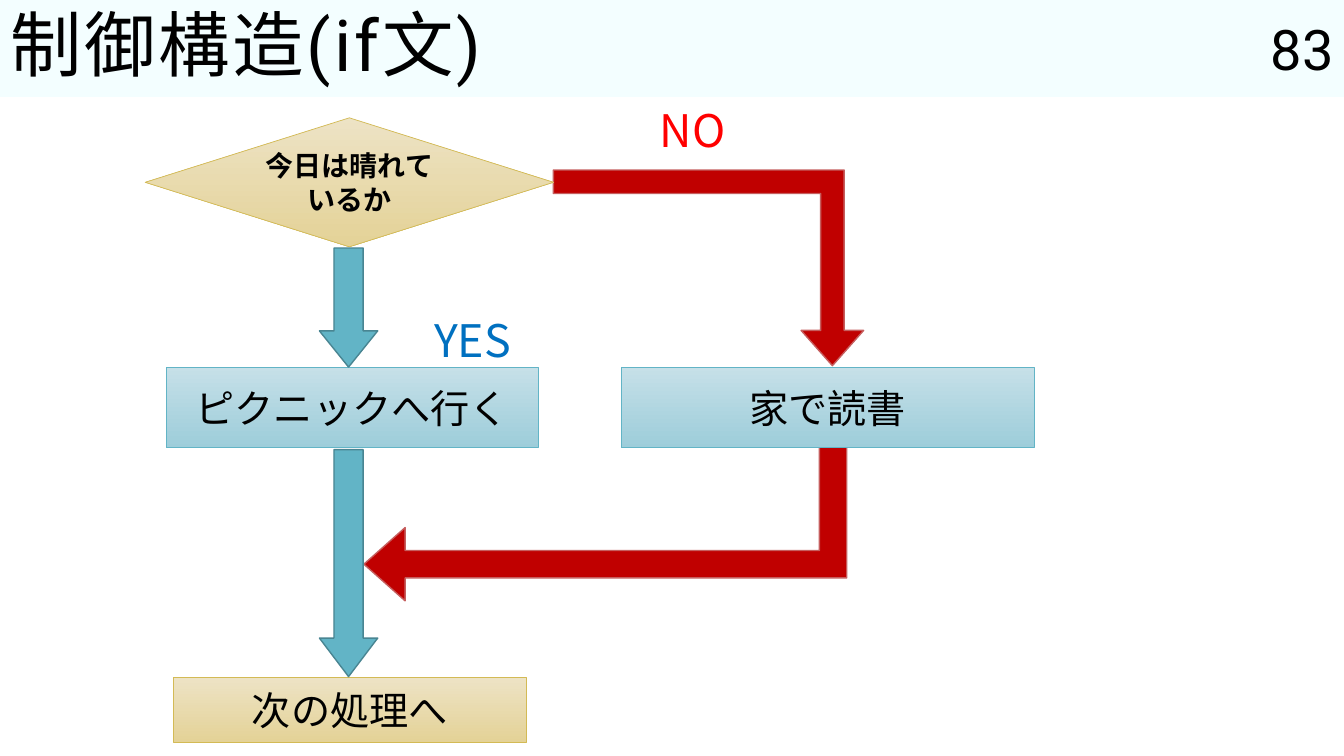
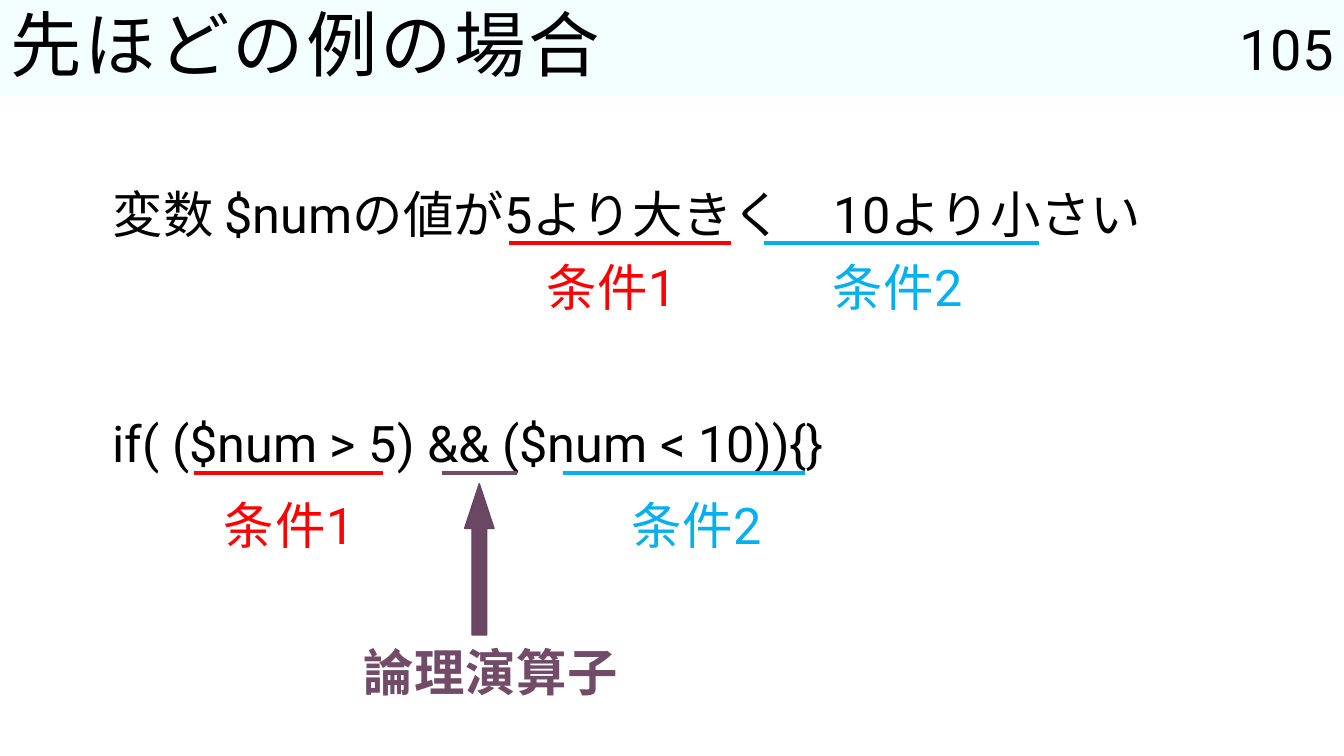
"""Build two slides that explain the if statement and logical operators."""
from dataclasses import dataclass

from lxml import etree
from pptx import Presentation
from pptx.dml.color import RGBColor
from pptx.enum.shapes import MSO_CONNECTOR, MSO_SHAPE
from pptx.enum.text import MSO_ANCHOR, MSO_AUTO_SIZE, PP_ALIGN
from pptx.oxml.ns import qn
from pptx.util import Cm, Pt

RECT, DIAMOND = MSO_SHAPE.RECTANGLE, MSO_SHAPE.DIAMOND
DOWN, UP, BENT = MSO_SHAPE.DOWN_ARROW, MSO_SHAPE.UP_ARROW, MSO_SHAPE.BENT_ARROW
STRAIGHT = MSO_CONNECTOR.STRAIGHT
LEFT, CENTER, RIGHT = PP_ALIGN.LEFT, PP_ALIGN.CENTER, PP_ALIGN.RIGHT
TOP, MIDDLE = MSO_ANCHOR.TOP, MSO_ANCHOR.MIDDLE
GROW = MSO_AUTO_SIZE.SHAPE_TO_FIT_TEXT
TITLE_ONLY = 5


@dataclass(frozen=True)
class Theme:
    """Colours, fonts and type sizes of the deck."""
    latin: str = "Roboto"
    cjk: str = "Noto Sans CJK JP"
    title_size: float = 51
    number_size: float = 40
    body_size: float = 36
    branch_size: float = 32
    box_size: float = 28
    question_size: float = 20
    text: str = "000000"
    band: str = "F3FEFF"
    sand: tuple = ("EDE3C5", "E4D297", "D3BA55")
    aqua: tuple = ("C6E0E8", "9DCDDA", "62B4C6")
    yes_arrow: tuple = ("62B4C6", "498592")
    no_arrow: tuple = ("C00000", "C65E5E")
    operator_arrow: tuple = ("6A4762", "67445E")
    red: str = "FF0000"
    blue: str = "0070C0"
    sky: str = "00B0F0"
    plum: str = "714B68"


class Deck:
    """Hold the style and the current slide, and draw each kind of element."""

    def __init__(self, theme):
        """Start an empty widescreen presentation."""
        self.t = theme
        self.prs = Presentation()
        self.prs.slide_width, self.prs.slide_height = Cm(33.87), Cm(19.05)
        self.s = None

    def style(self, p, size, color=None, font=None, bold=False, align=LEFT, spacing=0):
        """Format one paragraph."""
        p.alignment = align
        f = p.font
        f.size, f.bold = Pt(size), bold
        f.color.rgb = RGBColor.from_string(color or self.t.text)
        f.name = font or self.t.latin
        rpr = p._p.pPr.find(qn("a:defRPr"))
        etree.SubElement(rpr, qn("a:ea")).set("typeface", self.t.cjk)
        if spacing:
            rpr.set("spc", str(int(spacing * 100)))

    def slide(self, title, number):
        """Add a slide with its title band and page number."""
        self.s = self.prs.slides.add_slide(self.prs.slide_layouts[TITLE_ONLY])
        sp = self.s.shapes.title
        sp.left, sp.top, sp.width, sp.height = Cm(0), Cm(0), Cm(33.87), Cm(2.44)
        sp.fill.solid()
        sp.fill.fore_color.rgb = RGBColor.from_string(self.t.band)
        tf = sp.text_frame
        tf.text = title
        tf.auto_size = MSO_AUTO_SIZE.NONE
        tf.vertical_anchor = MIDDLE
        p = tf.paragraphs[0]
        p.line_spacing = 0.9
        self.style(p, self.t.title_size, spacing=2)
        self.text(number, 30.05, 0, 3.81, 2.44, anchor=MIDDLE,
                  size=self.t.number_size, align=RIGHT)

    def text(self, text, x, y, w, h, anchor=TOP, **style):
        """Add a text box with one paragraph per line."""
        tf = self.s.shapes.add_textbox(Cm(x), Cm(y), Cm(w), Cm(h)).text_frame
        tf.word_wrap = True
        tf.vertical_anchor = anchor
        tf.text = text
        for p in tf.paragraphs:
            self.style(p, **style)
        return tf

    def label(self, text, x, y, w, h, **style):
        """Add a text box that grows with its text."""
        self.text(text, x, y, w, h, **style).auto_size = GROW

    def condition(self, text, x, y, color, w=4.78, **style):
        """Add a centred caption for a part of an expression."""
        self.label(text, x, y, w, 1.8, size=self.t.body_size, color=color,
                   align=CENTER, spacing=0.5, **style)

    def shape(self, kind, x, y, w, h, line, width):
        """Add an outlined shape without shadow."""
        sp = self.s.shapes.add_shape(kind, Cm(x), Cm(y), Cm(w), Cm(h))
        sp.shadow.inherit = False
        sp.line.color.rgb = RGBColor.from_string(line)
        sp.line.width = Pt(width)
        return sp

    def box(self, kind, text, x, y, w, h, palette, size, bold=False):
        """Add a flowchart box with a vertical gradient."""
        *ends, line = palette
        sp = self.shape(kind, x, y, w, h, line, 0.5)
        sp.fill.gradient()
        sp.fill.gradient_angle = 270
        for stop, color in zip(sp.fill.gradient_stops, ends):
            stop.color.rgb = RGBColor.from_string(color)
        tf = sp.text_frame
        tf.word_wrap = True
        tf.vertical_anchor = MIDDLE
        tf.text = text
        self.style(tf.paragraphs[0], size, font=self.t.cjk, bold=bold, align=CENTER)

    def arrow(self, kind, x, y, w, h, palette, adjustments, rotation=0):
        """Add a block arrow."""
        fill, line = palette
        sp = self.shape(kind, x, y, w, h, line, 1)
        sp.fill.solid()
        sp.fill.fore_color.rgb = RGBColor.from_string(fill)
        sp.rotation = rotation
        for i, value in enumerate(adjustments):
            sp.adjustments[i] = value

    def underline(self, x1, x2, y, color):
        """Add a horizontal line under a part of an expression."""
        c = self.s.shapes.add_connector(STRAIGHT, Cm(x1), Cm(y), Cm(x2), Cm(y))
        c.line.color.rgb = RGBColor.from_string(color)
        c.line.width = Pt(3)
        etree.SubElement(c._element.spPr, qn("a:effectLst"))


def flowchart(d):
    """Draw the if statement as a flowchart."""
    t = d.t
    d.slide("制御構造(if文)", "83")
    bend = (0.12, 0.16, 0.18, 0)
    d.arrow(BENT, 9.17, 9.37, 12.17, 5.77, t.no_arrow, bend, 180)
    d.arrow(BENT, 15.39, 2.84, 4.93, 7.82, t.no_arrow, bend, 90)
    d.box(DIAMOND, "今日は晴れているか", 3.66, 2.97, 10.29, 3.25, t.sand,
          t.question_size, bold=True)
    for text, x, y, w, h, palette in (
            ("ピクニックへ行く", 4.19, 9.25, 9.37, 2.03, t.aqua),
            ("家で読書", 15.65, 9.25, 10.41, 2.03, t.aqua),
            ("次の処理へ", 4.37, 17.07, 8.89, 1.63, t.sand)):
        d.box(RECT, text, x, y, w, h, palette, t.box_size)
    for text, x, y, color in (("YES", 10.69, 7.75, t.blue), ("NO", 16.38, 2.46, t.red)):
        d.label(text, x, y, 2.77, 1.63, size=t.branch_size, color=color, font=t.cjk)
    for y, h, head in ((6.25, 3, 0.62), (11.33, 5.72, 0.66)):
        d.arrow(DOWN, 8.05, y, 1.47, h, t.yes_arrow, (0.5, head))


def conditions(d):
    """Match the spoken conditions with the code."""
    t = d.t
    d.slide("先ほどの例の場合", "105")
    tf = d.text("変数 $numの値が5より大きく　10より小さい\nif( ($num > 5) && ($num < 10)){}",
                2.59, 4.34, 29.67, 12.57, size=t.body_size)
    for p in tf.paragraphs:
        p.line_spacing = 1.1
    tf.paragraphs[1].space_before = Pt(116)
    for x1, x2, y, color in (
            (12.83, 18.42, 6.12, t.red), (19.25, 26.19, 6.12, t.sky),
            (4.9, 9.65, 11.91, t.red), (14.2, 20.29, 11.91, t.sky),
            (11.15, 13.03, 11.91, t.plum)):
        d.underline(x1, x2, y, color)
    for y, x1, x2 in ((6.32, 13.03, 20.24), (12.32, 4.9, 15.16)):
        d.condition("条件1", x1, y, t.red)
        d.condition("条件2", x2, y, t.sky)
    d.condition("論理演算子", 7.8, 16.03, t.plum, w=9.12, font=t.cjk, bold=True)
    d.arrow(UP, 11.71, 12.19, 0.74, 3.81, t.operator_arrow, (0.5, 1.52))


def main():
    """Build and save the deck."""
    d = Deck(Theme())
    flowchart(d)
    conditions(d)
    d.prs.save("out.pptx")


if __name__ == "__main__":
    main()
